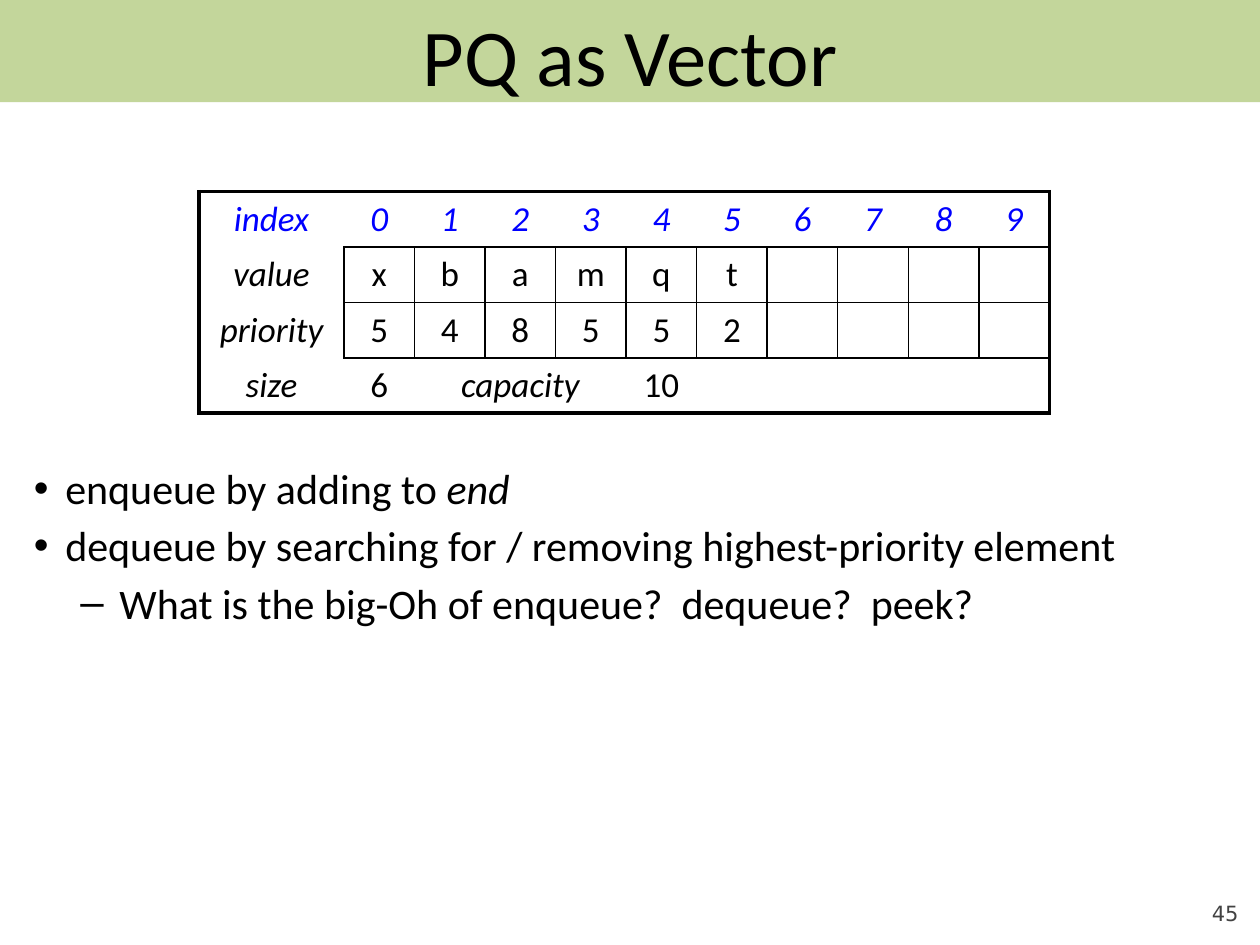
"""Build the slide that shows a priority queue stored as a vector."""
from dataclasses import dataclass

from lxml import etree
from pptx import Presentation
from pptx.dml.color import RGBColor
from pptx.enum.shapes import MSO_SHAPE
from pptx.enum.text import MSO_ANCHOR, PP_ALIGN
from pptx.oxml.ns import qn
from pptx.util import Inches, Pt

CENTER, RIGHT = PP_ALIGN.CENTER, PP_ALIGN.RIGHT
TOP, BOTTOM = MSO_ANCHOR.TOP, MSO_ANCHOR.BOTTOM
ROUNDED = MSO_SHAPE.ROUNDED_RECTANGLE
BLACK, BLUE, GREEN, GRAY = "000000", "0000FF", "C3D69B", "424242"
FRAME_WIDTH, GRID_WIDTH = 2.25, 1
CAPACITY, LABEL_WIDTH, SLOT_WIDTH, ROW_HEIGHT = 10, 1.15, 0.56, 0.44


@dataclass(frozen=True)
class Bullet:
    """One bulleted line, with an optional italic ending."""
    text: str
    emphasis: str = ""
    mark: str = "•"
    margin: float = 0.25
    hanging: float = 0.25
    level: int = 0


@dataclass(frozen=True)
class VectorRow:
    """One labelled row of the vector table."""
    label: str
    entries: tuple[str, ...]
    color: str = BLACK
    italic_entries: tuple[str, ...] = ()


INDEXES = tuple(str(index) for index in range(CAPACITY))
ROWS = (
    VectorRow("index", INDEXES, BLUE, INDEXES),
    VectorRow("value", tuple("xbamqt")),
    VectorRow("priority", tuple("548552")),
    VectorRow("size", ("6", "capacity", "", "", "10"), italic_entries=("capacity",)),
)
BULLETS = (
    Bullet("enqueue by adding to ", "end"),
    Bullet("dequeue by searching for / removing highest-priority element"),
    Bullet("What is the big-Oh of enqueue?  dequeue?  peek?",
           mark="–", margin=0.68, hanging=0.31, level=1),
)


def rgb(color: str) -> RGBColor:
    """Turn a hex string into a colour."""
    return RGBColor.from_string(color)


def write(paragraph, text: str, *, size: float, color: str = BLACK,
          font: str = "Calibri", italic: bool = False, align=None) -> None:
    """Add formatted text to a paragraph."""
    if align is not None:
        paragraph.alignment = align
    run = paragraph.add_run()
    run.text = text
    run.font.size, run.font.name, run.font.italic = Pt(size), font, italic
    run.font.color.rgb = rgb(color)


def add_text_frame(slide, left: float, top: float, width: float, height: float,
                   anchor=TOP):
    """Add a wrapping text box and return its text frame."""
    box = slide.shapes.add_textbox(*map(Inches, (left, top, width, height)))
    frame = box.text_frame
    frame.word_wrap, frame.vertical_anchor = True, anchor
    return frame


def draw_title(slide) -> None:
    """Draw the green band and the title over it."""
    band = slide.shapes.add_shape(ROUNDED, 0, 0, Inches(10), Inches(0.81))
    band.adjustments[0] = 0
    band.shadow.inherit = False
    band.fill.solid()
    band.fill.fore_color.rgb = rgb(GREEN)
    band.line.fill.background()
    frame = add_text_frame(slide, 0.5, 0, 9, 0.75)
    write(frame.paragraphs[0], "PQ as Vector", size=46, align=CENTER)


def in_grid(row: int, column: int) -> bool:
    """Tell whether a cell is one of the vector's stored slots."""
    return row in (1, 2) and 1 <= column <= CAPACITY


def edge_width(row: int, column: int, row_step: int, column_step: int) -> float:
    """Give the line width between a cell and its neighbour."""
    next_row, next_column = row + row_step, column + column_step
    if not (0 <= next_row < len(ROWS) and 0 <= next_column <= CAPACITY):
        return FRAME_WIDTH
    bordered = in_grid(row, column) or in_grid(next_row, next_column)
    return GRID_WIDTH if bordered else 0


def draw_border(cell, side: str, width: float) -> None:
    """Set one side of a cell to a black line, or to none for zero width."""
    properties = cell._tc.get_or_add_tcPr()
    line = etree.SubElement(properties, qn(f"a:ln{side}"), w=str(Pt(width)))
    if width:
        fill = etree.SubElement(line, qn("a:solidFill"))
        etree.SubElement(fill, qn("a:srgbClr"), val=BLACK)
    else:
        etree.SubElement(line, qn("a:noFill"))


def draw_cell(cell, row: int, column: int) -> None:
    """Draw the borders and the text of one cell."""
    steps = {"L": (0, -1), "R": (0, 1), "T": (-1, 0), "B": (1, 0)}
    for side, step in steps.items():
        draw_border(cell, side, edge_width(row, column, *step))
    cell.fill.background()
    content = ROWS[row]
    texts = (content.label, *content.entries)
    if column < len(texts) and texts[column]:
        italic = column == 0 or texts[column] in content.italic_entries
        write(cell.text_frame.paragraphs[0], texts[column], size=20,
              color=content.color, italic=italic, align=CENTER)


def draw_vector(slide) -> None:
    """Draw the table with the vector's slots, size and capacity."""
    width = LABEL_WIDTH + CAPACITY * SLOT_WIDTH
    height = len(ROWS) * ROW_HEIGHT
    table = slide.shapes.add_table(
        len(ROWS), CAPACITY + 1, *map(Inches, (1.58, 1.52, width, height))).table
    table.first_row = table.horz_banding = False
    for column, table_column in enumerate(table.columns):
        table_column.width = Inches(SLOT_WIDTH if column else LABEL_WIDTH)
    for row, table_row in enumerate(table.rows):
        table_row.height = Inches(ROW_HEIGHT)
        for column, cell in enumerate(table_row.cells):
            draw_cell(cell, row, column)
    table.cell(3, 2).merge(table.cell(3, 4))


def draw_bullets(slide) -> None:
    """Draw the notes on the queue's operations."""
    frame = add_text_frame(slide, 0.17, 3.62, 9.83, 3.72)
    for position, bullet in enumerate(BULLETS):
        paragraph = frame.add_paragraph() if position else frame.paragraphs[0]
        paragraph.level = bullet.level
        if position:
            paragraph.space_before = Pt(4)
        properties = paragraph._p.get_or_add_pPr()
        properties.set("marL", str(Inches(bullet.margin)))
        properties.set("indent", str(-Inches(bullet.hanging)))
        etree.SubElement(properties, qn("a:buFont"), typeface="Arial")
        etree.SubElement(properties, qn("a:buChar"), char=bullet.mark)
        write(paragraph, bullet.text, size=24)
        if bullet.emphasis:
            write(paragraph, bullet.emphasis, size=24, italic=True)


def draw_page_number(slide) -> None:
    """Draw the page number in the bottom right corner."""
    frame = add_text_frame(slide, 9, 6.95, 0.83, 0.4, BOTTOM)
    frame.margin_left = frame.margin_right = 0
    frame.margin_top = frame.margin_bottom = 0
    write(frame.paragraphs[0], "45", size=12, color=GRAY, font="DejaVu Sans",
          align=RIGHT)


def main() -> None:
    """Build the slide and save it."""
    deck = Presentation()
    deck.slide_width, deck.slide_height = Inches(10), Inches(7.5)
    slide = deck.slides.add_slide(deck.slide_layouts[6])
    draw_page_number(slide)
    draw_title(slide)
    draw_bullets(slide)
    draw_vector(slide)
    deck.save("out.pptx")


if __name__ == "__main__":
    main()
